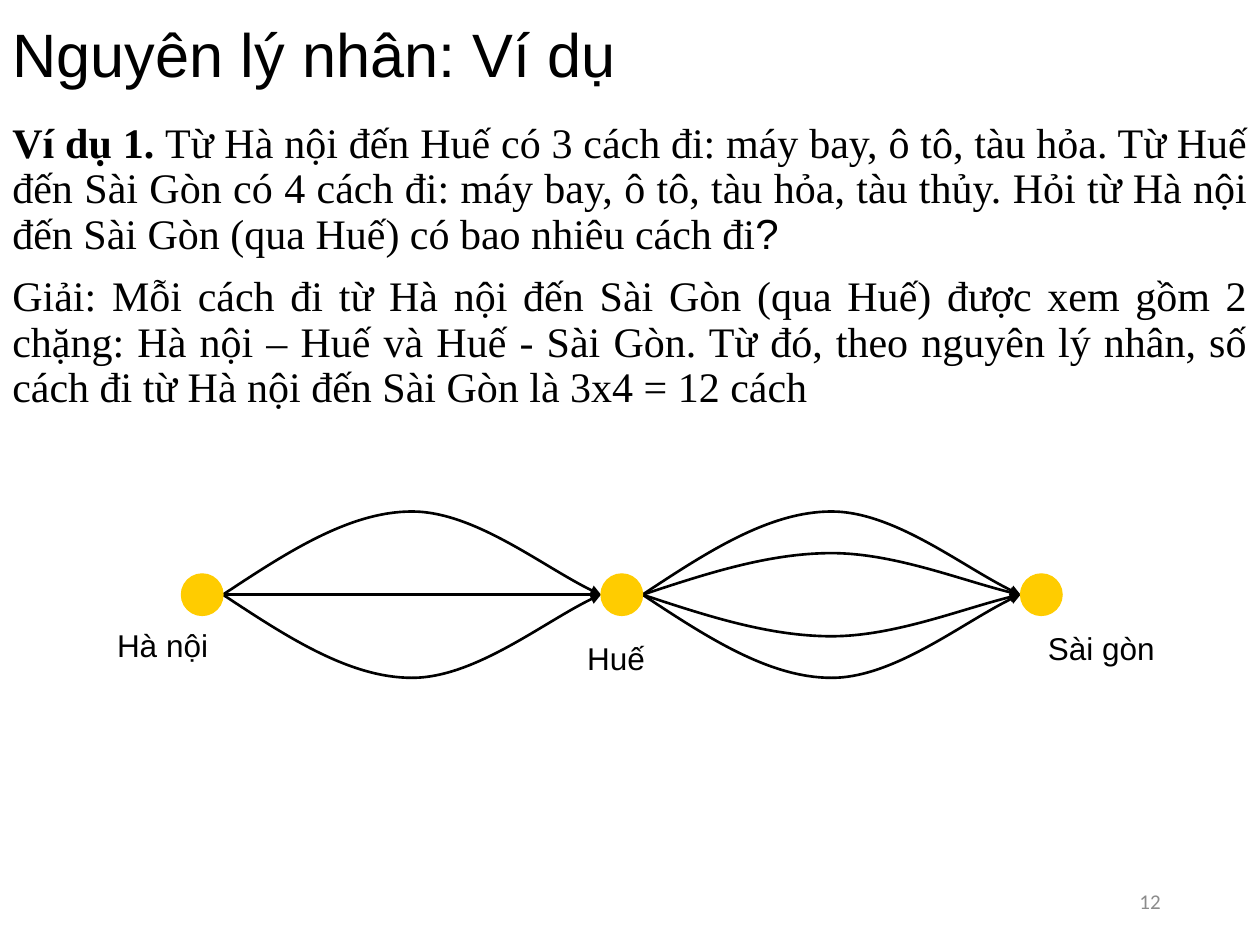
from dataclasses import dataclass

from lxml import etree
from pptx import Presentation
from pptx import util as u
from pptx.dml.color import RGBColor
from pptx.enum import shapes, text
from pptx.oxml import ns


@dataclass(frozen=True)
class Theme:
    ink: RGBColor = RGBColor(0, 0, 0)
    city: RGBColor = RGBColor(0xFF, 0xCC, 0)
    muted: RGBColor = RGBColor(0x8C, 0x8C, 0x8C)
    sans: str = "Arial"
    serif: str = "Times New Roman"
    number_face: str = "Calibri"
    title: int = 35
    body: int = 24
    label: int = 18
    number: int = 12


@dataclass(frozen=True)
class City:
    name: str
    column: int
    label_left: float
    label_top: float


@dataclass(frozen=True)
class Leg:
    column: int
    bends: tuple[float, ...]


THEME = Theme()
WIDTH, HEIGHT = 10, 7.5
FIRST_LEFT, AXIS = 1.44, 4.72
DIAMETER, SPAN = 0.33, 3.0
PITCH = DIAMETER + SPAN
BEND = 0.66
CURVE = ((1 / 6, 0.5), (1 / 3, 1), (1 / 2, 1), (2 / 3, 1), (0.87, 0.25), (1, 0))

CITIES = (
    City("Hà nội", 0, 0.73, 4.92),
    City("Huế", 1, 4.33, 5.02),
    City("Sài gòn", 2, 8.18, 4.94),
)
LEGS = (Leg(0, (-1, 0, 1)), Leg(1, (-1, -0.5, 0.5, 1)))
PROBLEM = (
    ("Ví dụ 1. ", THEME.serif, True),
    ("Từ Hà nội đến Huế có 3 cách đi: máy bay, ô tô, tàu hỏa. Từ Huế đến Sài Gòn "
     "có 4 cách đi: máy bay, ô tô, tàu hỏa, tàu thủy. Hỏi từ Hà nội đến Sài Gòn "
     "(qua Huế) có bao nhiêu cách đi", THEME.serif, False),
    ("?", THEME.sans, False),
)
SOLUTION = (
    ("Giải: Mỗi cách đi từ Hà nội đến Sài Gòn (qua Huế) được xem gồm 2 chặng: "
     "Hà nội – Huế và Huế - Sài Gòn. Từ đó, theo nguyên lý nhân, số cách đi từ "
     "Hà nội đến Sài Gòn là 3x4 = 12 cách", THEME.serif, False),
)


def style(paragraph, face: str, size: int, color: RGBColor, align) -> None:
    paragraph.font.name = face
    paragraph.font.size = u.Pt(size)
    paragraph.font.color.rgb = color
    paragraph.alignment = align


def add_box(slide, left: float, top: float, width: float, height: float):
    frame = slide.shapes.add_textbox(*map(u.Inches, (left, top, width, height))).text_frame
    frame.word_wrap = True
    return frame


def add_title(slide, wording: str) -> None:
    title = slide.shapes.title
    title.left, title.top = 0, 0
    title.width, title.height = u.Inches(WIDTH), u.Inches(0.92)
    frame = title.text_frame
    frame.text = wording
    frame.vertical_anchor = text.MSO_ANCHOR.MIDDLE
    heading = frame.paragraphs[0]
    heading.line_spacing = 0.9
    style(heading, THEME.sans, THEME.title, THEME.ink, text.PP_ALIGN.LEFT)


def add_body(slide) -> None:
    frame = add_box(slide, 0, 0.92, WIDTH, 4.8)
    for index, passage in enumerate((PROBLEM, SOLUTION)):
        paragraph = frame.add_paragraph() if index else frame.paragraphs[0]
        style(paragraph, THEME.serif, THEME.body, THEME.ink, text.PP_ALIGN.JUSTIFY)
        paragraph.line_spacing = 0.9
        paragraph.space_before = u.Pt(10)
        for wording, face, bold in passage:
            run = paragraph.add_run()
            run.text = wording
            run.font.name = face
            run.font.bold = bold


def finish_route(route) -> None:
    route.line.color.rgb = THEME.ink
    route.line.width = u.Pt(1.5)
    outline = route.line._get_or_add_ln()
    etree.SubElement(outline, ns.qn("a:tailEnd"), type="triangle")


def add_straight_route(network, start: float) -> None:
    route = network.shapes.add_connector(
        shapes.MSO_CONNECTOR.STRAIGHT,
        *map(u.Inches, (start, AXIS, start + SPAN, AXIS)))
    finish_route(route)
    etree.SubElement(route._element.spPr, ns.qn("a:effectLst"))


def add_curved_route(network, start: float, bend: float) -> None:
    points = [(u.Inches(start + SPAN * x), u.Inches(AXIS + BEND * bend * y))
              for x, y in CURVE]
    builder = network.shapes.build_freeform(u.Inches(start), u.Inches(AXIS))
    builder.add_line_segments(points, close=False)
    route = builder.convert_to_shape()
    segments = list(route._element.iter(ns.qn("a:lnTo")))
    outline = segments[0].getparent()
    for first in range(0, len(segments), 3):
        cubic = etree.SubElement(outline, ns.qn("a:cubicBezTo"))
        for segment in segments[first:first + 3]:
            cubic.append(segment[0])
            outline.remove(segment)
    route.shadow.inherit = False
    route.fill.background()
    finish_route(route)


def add_leg(network, leg: Leg) -> None:
    start = FIRST_LEFT + DIAMETER + leg.column * PITCH
    for bend in leg.bends:
        if bend:
            add_curved_route(network, start, bend)
        else:
            add_straight_route(network, start)


def add_city(slide, network, city: City) -> None:
    dot = network.shapes.add_shape(
        shapes.MSO_SHAPE.OVAL,
        *map(u.Inches, (FIRST_LEFT + city.column * PITCH, AXIS - DIAMETER / 2,
                        DIAMETER, DIAMETER)))
    dot.shadow.inherit = False
    dot.fill.solid()
    dot.fill.fore_color.rgb = THEME.city
    dot.line.color.rgb = THEME.city
    dot.line.width = u.Pt(0.75)
    frame = add_box(slide, city.label_left, city.label_top, 1.12, 0.4)
    frame.text = city.name
    style(frame.paragraphs[0], THEME.sans, THEME.label, THEME.ink, text.PP_ALIGN.CENTER)


def add_page_number(slide, number: str) -> None:
    frame = add_box(slide, 7.06, 6.95, 2.25, 0.4)
    frame.vertical_anchor = text.MSO_ANCHOR.MIDDLE
    frame.text = number
    style(frame.paragraphs[0], THEME.number_face, THEME.number, THEME.muted,
          text.PP_ALIGN.RIGHT)


def main() -> None:
    deck = Presentation()
    deck.slide_width, deck.slide_height = u.Inches(WIDTH), u.Inches(HEIGHT)
    slide = deck.slides.add_slide(deck.slide_layouts.get_by_name("Title Only"))
    add_title(slide, "Nguyên lý nhân: Ví dụ")
    add_body(slide)
    add_page_number(slide, "12")
    network = slide.shapes.add_group_shape()
    for leg in LEGS:
        add_leg(network, leg)
    for city in CITIES:
        add_city(slide, network, city)
    deck.save("out.pptx")


if __name__ == "__main__":
    main()
